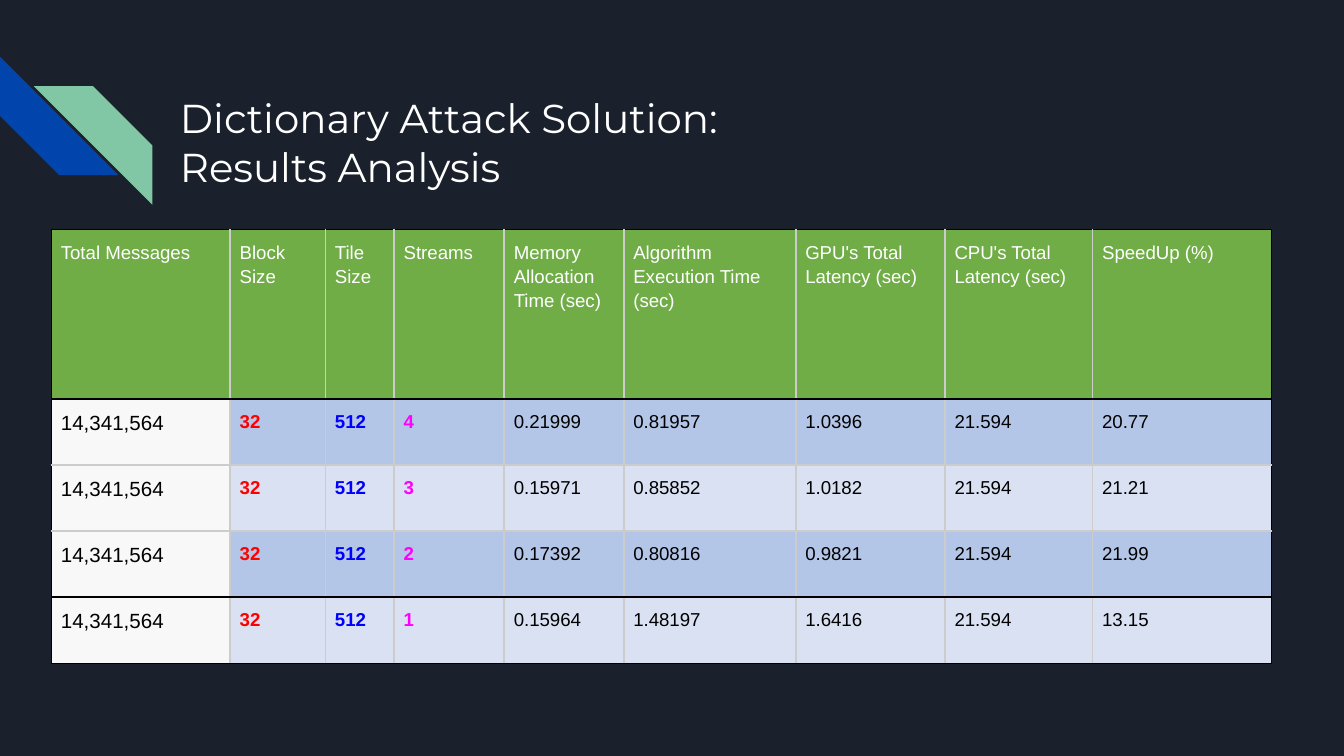
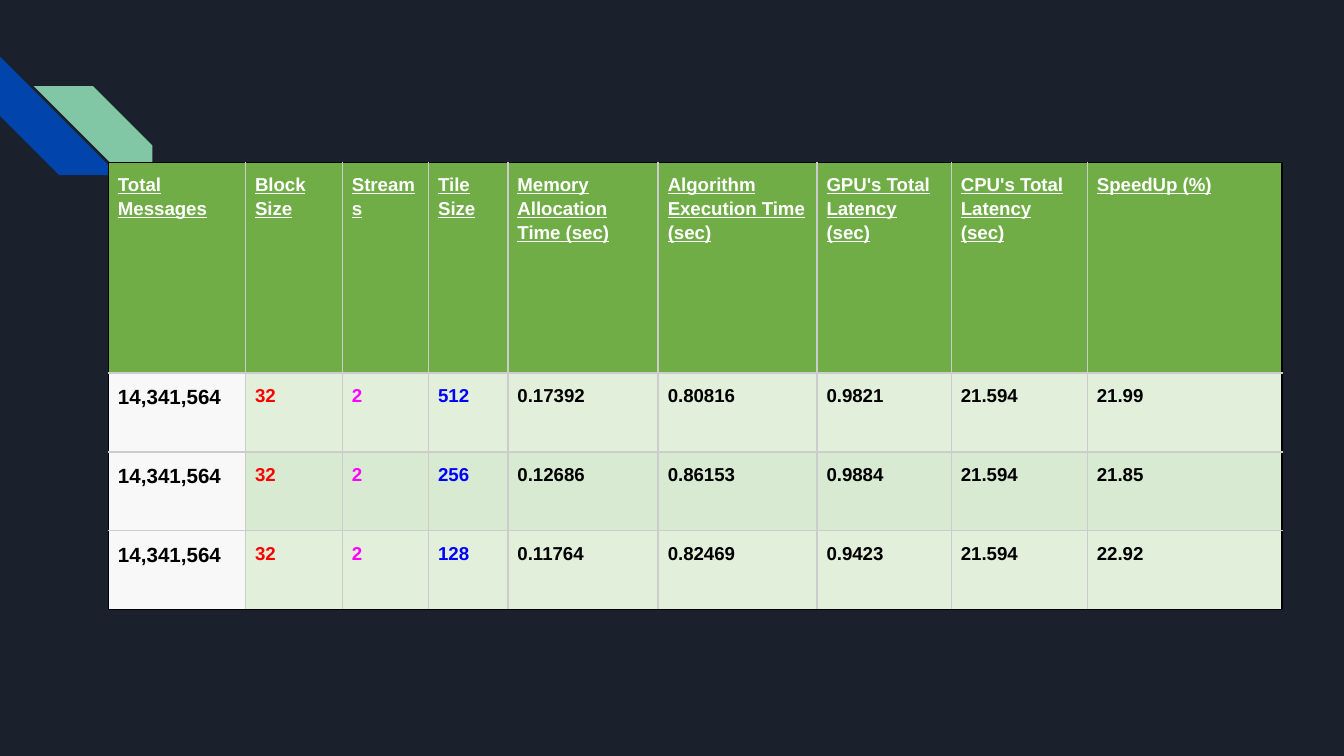
from dataclasses import dataclass

from lxml.etree import SubElement
from pptx import Presentation
from pptx.dml.color import RGBColor as Rgb
from pptx.enum.shapes import MSO_SHAPE as Shape
from pptx.enum.text import MSO_ANCHOR as Anchor, MSO_AUTO_SIZE as Fit, PP_ALIGN as Align
from pptx.oxml.ns import qn
from pptx.util import Cm, Pt


@dataclass(frozen=True)
class Theme:
    back: str = "1B212C"
    blue: str = "0145AC"
    mint: str = "82C7A5"
    head: str = "70AD47"
    first: str = "F8F8F8"
    white: str = "FFFFFF"
    black: str = "000000"
    grid: str = "CCCCCC"
    title_font: str = "Montserrat"
    font: str = "Arial"
    title_size: float = 21.6
    total_size: float = 11
    size: float = 10


THEME = Theme()
TITLE = ["Dictionary Attack Solution:", "Results Analysis"]
TOTAL, BLOCK, TILE, STREAMS = "Total Messages", "Block Size", "Tile Size", "Streams"
TIMES = ["Memory Allocation Time (sec)", "Algorithm Execution Time (sec)",
         "GPU's Total Latency (sec)", "CPU's Total Latency (sec)", "SpeedUp (%)"]
MARKS = {BLOCK: "FF0000", TILE: "0000FF", STREAMS: "FF00FF"}

# Lengths are in centimetres; "rules" lists the horizontal lines drawn in black.
BY_STREAMS = {
    "title": TITLE,
    "at": (0.97, 4.34),
    "cols": [3.38, 1.8, 1.3, 2.08, 2.26, 3.25, 2.82, 2.79, 3.38],
    "heights": (3.2, 1.25),
    "bands": ("B4C6E7", "D9E1F2"),
    "rules": {0, 1, 4, 5},
    "bold": False,
    "heads": [TOTAL, BLOCK, TILE, STREAMS, *TIMES],
    "rows": [
        ["14,341,564", "32", "512", "4", "0.21999", "0.81957", "1.0396", "21.594", "20.77"],
        ["14,341,564", "32", "512", "3", "0.15971", "0.85852", "1.0182", "21.594", "21.21"],
        ["14,341,564", "32", "512", "2", "0.17392", "0.80816", "0.9821", "21.594", "21.99"],
        ["14,341,564", "32", "512", "1", "0.15964", "1.48197", "1.6416", "21.594", "13.15"],
    ],
}
BY_TILE = {
    "title": None,
    "at": (2.05, 3.07),
    "cols": [2.59, 1.83, 1.63, 1.5, 2.84, 3, 2.54, 2.57, 3.68],
    "heights": (3.98, 1.49),
    "bands": ("E2EFDA", "D9EAD3"),
    "rules": {0, 4},
    "bold": True,
    "heads": [TOTAL, BLOCK, STREAMS, TILE, *TIMES],
    "rows": [
        ["14,341,564", "32", "2", "512", "0.17392", "0.80816", "0.9821", "21.594", "21.99"],
        ["14,341,564", "32", "2", "256", "0.12686", "0.86153", "0.9884", "21.594", "21.85"],
        ["14,341,564", "32", "2", "128", "0.11764", "0.82469", "0.9423", "21.594", "22.92"],
    ],
}


def paint(fill, tint):
    fill.solid()
    fill.fore_color.rgb = Rgb.from_string(tint)


def write(frame, lines, size=THEME.size, font=THEME.font, tint=THEME.black,
          bold=False, under=False, space=1.0):
    frame.word_wrap = True
    for i, line in enumerate(lines):
        para = frame.add_paragraph() if i else frame.paragraphs[0]
        para.alignment, para.line_spacing = Align.LEFT, space
        run = para.add_run()
        run.text = line
        run.font.name, run.font.size = font, Pt(size)
        run.font.bold, run.font.underline = bold, under
        run.font.color.rgb = Rgb.from_string(tint)


def edge(cell, **sides):
    """Draw one-point cell borders; call it before the cell is filled."""
    props = cell._tc.get_or_add_tcPr()
    for side in "LRTB":
        line = SubElement(props, qn(f"a:ln{side}"), w=str(Pt(1)))
        fill = SubElement(line, qn("a:solidFill"))
        SubElement(fill, qn("a:srgbClr"), val=sides[side])


def stripes(slide):
    for left, top, turn, tint in [(0, 1.07, 270, THEME.blue), (0.64, 1.63, 90, THEME.mint)]:
        shape = slide.shapes.add_shape(Shape.DIAGONAL_STRIPE, Cm(left), Cm(top),
                                       Cm(2.24), Cm(2.24))
        shape.rotation = turn
        shape.shadow.inherit = False
        paint(shape.fill, tint)
        shape.line.fill.background()


def head(slide, lines):
    box = slide.shapes.title
    box.left, box.top, box.width, box.height = Cm(3.15), Cm(1.52), Cm(19.56), Cm(2.54)
    frame = box.text_frame
    frame.auto_size, frame.vertical_anchor = Fit.NONE, Anchor.TOP
    frame.margin_left = frame.margin_right = Cm(0.25)
    frame.margin_top = frame.margin_bottom = Cm(0.25)
    write(frame, lines, size=THEME.title_size, font=THEME.title_font, tint=THEME.white)


def style(data, row, col):
    """Return the fill and the text format of one cell."""
    if row == 0:
        return THEME.head, dict(tint=THEME.white, bold=data["bold"], under=data["bold"])
    if col == 0:
        return THEME.first, dict(size=THEME.total_size, bold=data["bold"])
    name = data["heads"][col]
    return data["bands"][(row - 1) % 2], dict(tint=MARKS.get(name, THEME.black),
                                              bold=data["bold"] or name in MARKS)


def grid(slide, data):
    rows, cols = [data["heads"], *data["rows"]], data["cols"]
    tall, low = data["heights"]
    highs = [tall] + [low] * len(data["rows"])
    left, top = data["at"]
    table = slide.shapes.add_table(len(rows), len(cols), Cm(left), Cm(top),
                                   Cm(sum(cols)), Cm(sum(highs))).table
    table.first_row = table.horz_banding = False
    for col, width in zip(table.columns, cols):
        col.width = Cm(width)
    for row, high in zip(table.rows, highs):
        row.height = Cm(high)

    def shade(dark):
        return THEME.black if dark else THEME.grid

    for r, texts in enumerate(rows):
        for c, text in enumerate(texts):
            cell = table.cell(r, c)
            cell.margin_left = cell.margin_right = Cm(0.18)
            cell.margin_top = cell.margin_bottom = Cm(0.18)
            edge(cell, L=shade(c == 0), R=shade(c == len(cols) - 1),
                 T=shade(r in data["rules"]), B=shade(r + 1 in data["rules"]))
            tint, form = style(data, r, c)
            paint(cell.fill, tint)
            write(cell.text_frame, [text], space=1.15, **form)


def main():
    deck = Presentation()
    deck.slide_width, deck.slide_height = Cm(25.4), Cm(14.29)
    paint(deck.slide_master.background.fill, THEME.back)
    for data in (BY_STREAMS, BY_TILE):
        slide = deck.slides.add_slide(deck.slide_layouts[5 if data["title"] else 6])
        stripes(slide)
        if data["title"]:
            head(slide, data["title"])
        grid(slide, data)
    deck.save("out.pptx")


if __name__ == "__main__":
    main()
